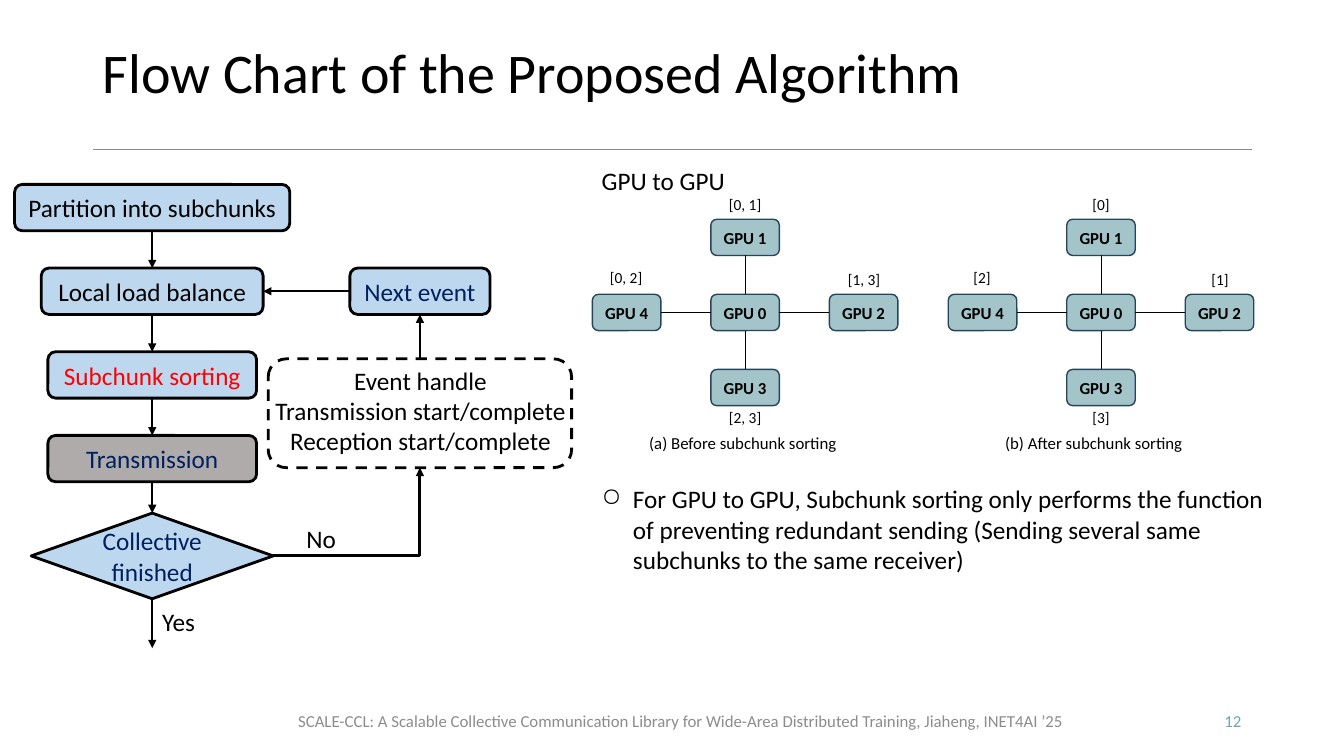
import pptx
import pptx.util
import pptx.dml.color
import pptx.enum.dml
import pptx.enum.shapes
import pptx.enum.text
from dataclasses import dataclass
from lxml import etree
from pptx.oxml.ns import qn

Kind = pptx.enum.shapes.MSO_SHAPE
Link = pptx.enum.shapes.MSO_CONNECTOR
Side = pptx.enum.text.PP_ALIGN
Hold = pptx.enum.text.MSO_ANCHOR
Dash = pptx.enum.dml.MSO_LINE

COLS, ROWS = 133.3, 75
TOP, LEFT, BASE, RIGHT = range(4)


@dataclass(frozen=True)
class Theme:
    font: str = "Calibri"
    ink: str = "000000"
    paper: str = "FFFFFF"
    pale: str = "BDD7EE"
    dull: str = "AFABAB"
    navy: str = "002060"
    alert: str = "FF0000"
    teal: str = "A3C4C9"
    edge: str = "28445D"
    gray: str = "8C8C8C"
    page: str = "6DA4BB"
    title: float = 40
    body: float = 18
    note: float = 12
    tag: float = 11


def tint(code):
    return pptx.dml.color.RGBColor.from_string(code)


class Board:
    def __init__(self, deck, theme):
        self.theme = theme
        self.col = deck.slide_width / COLS
        self.row = deck.slide_height / ROWS
        self.shapes = deck.slides.add_slide(deck.slide_layouts[6]).shapes

    def place(self, *marks):
        return [round(mark * (self.row if i % 2 else self.col))
                for i, mark in enumerate(marks)]

    def fill_in(self, frame, text, size, color, align, bold=False, mark=None):
        frame.text = text
        for par in frame.paragraphs:
            par.alignment = align
            if mark:
                props = par._p.get_or_add_pPr()
                props.set("marL", str(pptx.util.Inches(0.31)))
                props.set("indent", str(-pptx.util.Inches(0.31)))
                etree.SubElement(props, qn("a:buChar")).set("char", mark)
            par.font.name = self.theme.font
            par.font.size = pptx.util.Pt(size)
            par.font.bold = bold
            par.font.color.rgb = tint(color)

    def text(self, text, at, size=None, color=None, align=Side.LEFT,
             hold=Hold.TOP, wrap=False, mark=None):
        frame = self.shapes.add_textbox(*self.place(*at)).text_frame
        frame.word_wrap = wrap
        frame.vertical_anchor = hold
        self.fill_in(frame, text, size or self.theme.body,
                     color or self.theme.ink, align, mark=mark)
        return frame

    def node(self, text, at, fill, color=None, size=None, edge=None,
             width=2, bold=False, kind=Kind.ROUNDED_RECTANGLE):
        node = self.shapes.add_shape(kind, *self.place(*at))
        node.shadow.inherit = False
        node.fill.solid()
        node.fill.fore_color.rgb = tint(fill)
        node.line.color.rgb = tint(edge or self.theme.ink)
        node.line.width = pptx.util.Pt(width)
        if text:
            frame = node.text_frame
            frame.margin_left = frame.margin_right = 0
            frame.word_wrap = True
            frame.vertical_anchor = Hold.MIDDLE
            self.fill_in(frame, text, size or self.theme.body,
                         color or self.theme.ink, Side.CENTER, bold)
        return node

    def line(self, at, width, color=None, head=False, kind=Link.STRAIGHT):
        line = self.shapes.add_connector(kind, *self.place(*at))
        line.line.color.rgb = tint(color or self.theme.ink)
        line.line.width = pptx.util.Pt(width)
        props = line._element.spPr
        if head:
            etree.SubElement(props.find(qn("a:ln")), qn("a:tailEnd")).set("type", "triangle")
        etree.SubElement(props, qn("a:effectLst"))
        return line

    def join(self, start, out, end, into, width=1.5, head=True):
        line = self.line((0, 0, 0, 0), width, head=head)
        line.begin_connect(start, out)
        line.end_connect(end, into)

    def bend(self, at, width):
        line = self.line(at, width, head=True, kind=Link.ELBOW)
        line._element.spPr.find(qn("a:prstGeom")).set("prst", "bentConnector2")

    def star(self, x, y, tags, note):
        theme = self.theme
        wide, high = 6.8, 3.6
        spots = [(0, 0), (0, -7.45), (11.75, 0), (0, 7.45), (-11.75, 0)]
        gpus = [self.node(f"GPU {i}", (x + dx - wide / 2, y + dy - high / 2, wide, high),
                          theme.teal, size=theme.note, edge=theme.edge, width=1, bold=True)
                for i, (dx, dy) in enumerate(spots)]
        for gpu, side in zip(gpus[1:], (TOP, RIGHT, BASE, LEFT)):
            self.join(gpus[0], side, gpu, (side + 2) % 4, 0.5, False)
        shifts = [(0, -10.7), (11.8, -3.2), (0, 10.4), (-11.8, -3.4)]
        for tag, (dx, dy) in zip(tags, shifts):
            self.text(tag, (x + dx - 2.65, y + dy - 1.45, 5.3, 2.9),
                      theme.tag, align=Side.CENTER)
        self.text(note, (x - 10.5, y + 11.4, 20.8, 3), theme.note, wrap=True)


def flow(board):
    theme = board.theme
    mid, top, step, high = 15.1, 18.3, 8.3, 4.6
    steps = [("Partition into subchunks", 27.3, theme.pale, theme.ink),
             ("Local load balance", 22, theme.pale, theme.ink),
             ("Subchunk sorting", 20.7, theme.pale, theme.alert),
             ("Transmission", 20.7, theme.dull, theme.navy)]
    chain = [board.node(name, (mid - wide / 2, top + i * step, wide, high), fill, color)
             for i, (name, wide, fill, color) in enumerate(steps)]
    chain.append(board.node("Collective finished", (mid - 12, 50.9, 24, 8.5),
                            theme.pale, theme.navy, kind=Kind.DIAMOND))
    event = board.node("", (26.6, 35.6, 30.1, 10.8), theme.paper)
    event.line.dash_style = Dash.DASH
    board.text("Event handle\nTransmission start/complete\nReception start/complete",
               (26.1, 35.7, 31.2, 10.1), align=Side.CENTER, wrap=True)
    turn = board.node("Next event", (34.7, top + step, 13.9, high), theme.pale, theme.navy)
    for start, end in zip(chain, chain[1:]):
        board.join(start, BASE, end, TOP)
    board.join(event, TOP, turn, BASE)
    board.join(turn, LEFT, chain[1], RIGHT)
    board.line((mid, 59.4, mid, 64.3), 1.5, head=True)
    board.bend((27.1, 55.15, 41.65, 46.4), 2)
    board.text("Yes", (15.1, 59.7, 5.3, 4))
    board.text("No", (29.4, 51.4, 5, 4))


def main():
    deck = pptx.Presentation()
    deck.slide_width = pptx.util.Inches(13.33)
    deck.slide_height = pptx.util.Inches(7.5)
    theme = Theme()
    board = Board(deck, theme)
    board.line((9.2, 14.8, 124.2, 14.8), 0.5, theme.gray)
    title = board.text("Flow Chart of the Proposed Algorithm", (9.2, 0.2, 115, 14.5),
                       theme.title, hold=Hold.MIDDLE, wrap=True)
    title.paragraphs[0].line_spacing = 0.9
    board.text("SCALE-CCL: A Scalable Collective Communication Library for "
               "Wide-Area Distributed Training, Jiaheng, INET4AI ’25",
               (19.8, 69.5, 95.5, 4), theme.note, theme.gray, Side.CENTER, Hold.MIDDLE, True)
    board.text("12", (115.3, 69.5, 8.8, 4), theme.note, theme.page,
               Side.RIGHT, Hold.MIDDLE, True)
    flow(board)
    board.text("GPU to GPU", (58.7, 15.9, 14.3, 4))
    board.star(73.9, 31, ("[0, 1]", "[1, 3]", "[2, 3]", "[0, 2]"),
               "(a) Before subchunk sorting")
    board.star(109.2, 31, ("[0]", "[1]", "[3]", "[2]"), "(b) After subchunk sorting")
    board.text("For GPU to GPU, Subchunk sorting only performs the function of preventing "
               "redundant sending (Sending several same subchunks to the same receiver)",
               (58.7, 47.5, 68.7, 10.1), wrap=True, mark="○")
    deck.save("out.pptx")


if __name__ == "__main__":
    main()
